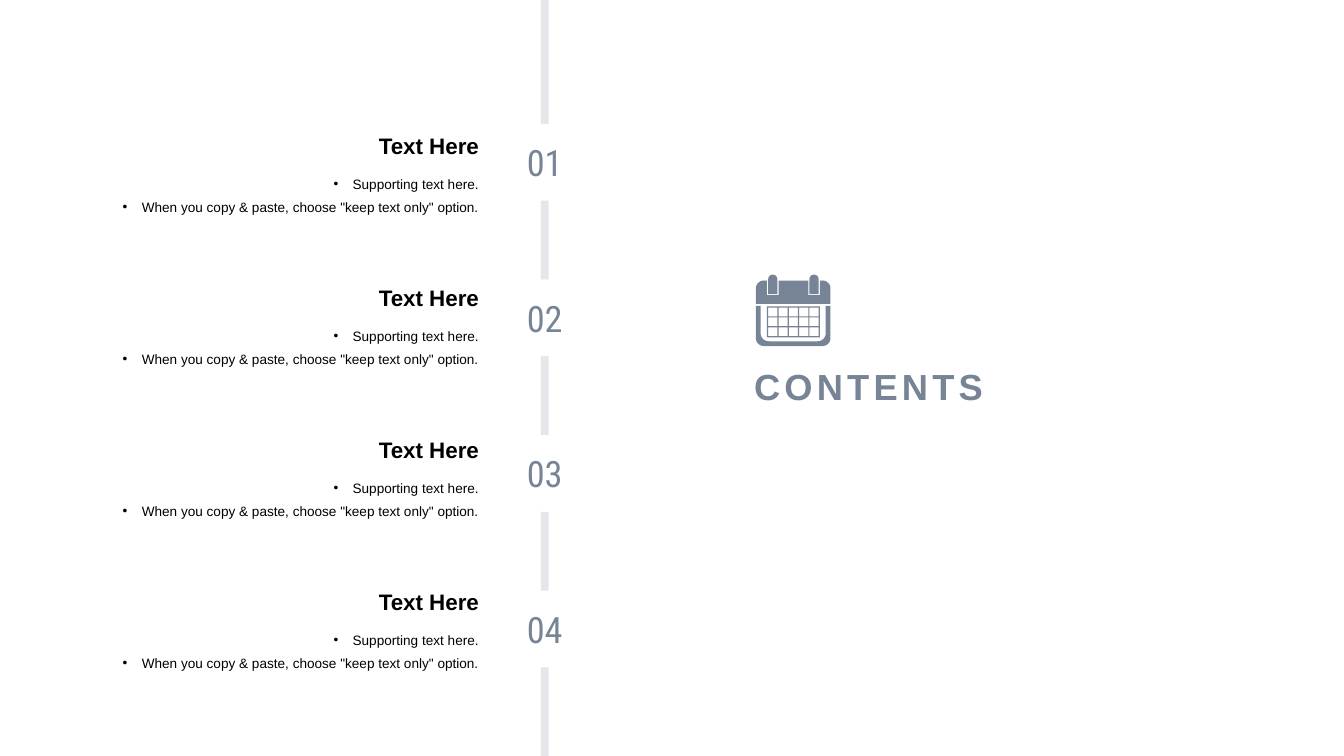
from collections import namedtuple
from dataclasses import dataclass
from math import cos, radians, sin

from lxml.etree import SubElement
from pptx import Presentation
from pptx.dml.color import RGBColor
from pptx.enum.shapes import MSO_SHAPE as Shape
from pptx.enum.text import MSO_ANCHOR as Anchor, MSO_AUTO_SIZE as AutoSize, PP_ALIGN as Align
from pptx.oxml.ns import qn
from pptx.util import Cm, Pt

Box = namedtuple("Box", "left top width height")


@dataclass(frozen=True)
class Theme:
    slate: RGBColor = RGBColor(0x77, 0x84, 0x95)
    rail: RGBColor = RGBColor(0xE4, 0xE6, 0xEA)
    paper: RGBColor = RGBColor(0xFF, 0xFF, 0xFF)
    ink: RGBColor = RGBColor(0, 0, 0)
    text_font: str = "Arial"
    number_font: str = "Roboto Condensed"
    large: float = 25.9
    heading: float = 16
    body: float = 9.7


THEME = Theme()
ENTRY = ("Text Here", ["Supporting text here.",
                       'When you copy & paste, choose "keep text only" option.'])
ENTRIES = [ENTRY] * 4


def style(paragraph, size, color, font=THEME.text_font, bold=False):
    paragraph.font.size = Pt(size)
    paragraph.font.name = font
    paragraph.font.bold = bold
    paragraph.font.color.rgb = color


def paint(shape, fill):
    shape.shadow.inherit = False
    shape.fill.solid()
    shape.fill.fore_color.rgb = fill
    shape.line.fill.background()


def add_bullet(paragraph, indent):
    properties = paragraph._p.get_or_add_pPr()
    properties.set("marL", str(indent))
    properties.set("indent", str(-indent))
    SubElement(properties, qn("a:buFont"), typeface=THEME.text_font)
    SubElement(properties, qn("a:buChar"), char="•")


def add_timeline(slide, box, count, first, pitch):
    rail_width = Cm(0.2)
    rail = slide.shapes.add_shape(Shape.RECTANGLE, box.left + (box.width - rail_width) // 2,
                                  box.top, rail_width, box.height)
    paint(rail, THEME.rail)
    for index in range(count):
        stop = slide.shapes.add_shape(Shape.OVAL, box.left, box.top + first + index * pitch,
                                      box.width, box.width)
        paint(stop, THEME.paper)
        stop.line.color.rgb = THEME.paper
        stop.line.width = Pt(4.5)
        frame = stop.text_frame
        frame.word_wrap = False
        frame.vertical_anchor = Anchor.MIDDLE
        number = frame.paragraphs[0]
        number.text = f"{index + 1:02d}"
        number.alignment = Align.CENTER
        style(number, THEME.large, THEME.slate, THEME.number_font)


def add_entry(slide, box, heading, points):
    heading_height = Cm(1.07)
    frame = slide.shapes.add_textbox(box.left, box.top, box.width, heading_height).text_frame
    frame.word_wrap = True
    frame.vertical_anchor = Anchor.BOTTOM
    title = frame.paragraphs[0]
    title.text = heading
    title.alignment = Align.RIGHT
    style(title, THEME.heading, THEME.ink, bold=True)

    frame = slide.shapes.add_textbox(box.left, box.top + heading_height, box.width,
                                     box.height - heading_height).text_frame
    frame.word_wrap = True
    frame.text = "\n".join(points)
    for point in frame.paragraphs:
        add_bullet(point, Cm(0.48))
        point.alignment = Align.RIGHT
        point.line_spacing = 1.4
        style(point, THEME.body, THEME.ink)


def add_title(slide, box, text):
    title = slide.shapes.title
    title.left, title.top, title.width, title.height = box
    frame = title.text_frame
    frame.auto_size = AutoSize.NONE
    frame.word_wrap = True
    frame.vertical_anchor = Anchor.MIDDLE
    contents = frame.paragraphs[0]
    contents.text = text
    contents.alignment = Align.LEFT
    contents.line_spacing = 1.4
    style(contents, THEME.large, THEME.slate, bold=True)
    contents.runs[0]._r.get_or_add_rPr().set("spc", "300")


def arc(x, y, radius, start, end, steps=8):
    angles = [radians(start + (end - start) * step / steps) for step in range(steps + 1)]
    return [(x + radius * cos(angle), y + radius * sin(angle)) for angle in angles]


def rectangle(x, y, width, height):
    return [(x, y), (x + width, y), (x + width, y + height), (x, y + height)]


def add_calendar(slide, box):
    width, height = box.width.cm, box.height.cm
    corner, wall, line = 0.2, 0.12, 0.03
    ring_width, ring_bottom, ring_lefts = 0.23, 0.49, (0.31, 1.35)
    header_top, header_bottom, body_top = 0.15, 0.74, 0.79
    grid_left, grid_top, columns, rows = 0.28, 0.8, 5, 3
    column_pitch, row_pitch = 0.26, 0.25

    right, low = width - corner, height - corner
    body = ([(0, body_top)] + arc(corner, low, corner, 180, 90)
            + arc(right, low, corner, 90, 0) + [(width, body_top), (width - wall, body_top)]
            + arc(right - wall, low - wall, corner, 0, 90)
            + arc(corner + wall, low - wall, corner, 90, 180) + [(wall, body_top)])
    grid = rectangle(grid_left, grid_top, columns * column_pitch + line, rows * row_pitch + line)
    cells = [rectangle(grid_left + line + column * column_pitch, grid_top + line + row * row_pitch,
                       column_pitch - line, row_pitch - line)
             for row in range(rows) for column in range(columns)]

    header = [(0, header_bottom)] + arc(corner, header_top + corner, corner, 180, 270)
    rings = []
    for left in ring_lefts:
        near, far, notch = left - line, left + ring_width + line, ring_bottom + line
        header += [(near, header_top), (near, notch), (far, notch), (far, header_top)]
        radius = ring_width / 2
        rings.append([(left, ring_bottom)] + arc(left + radius, radius, radius, 180, 360)
                     + [(left + ring_width, ring_bottom)])
    header += arc(right, header_top + corner, corner, 270, 360) + [(width, header_bottom)]

    contours = [[(Cm(x), Cm(y)) for x, y in contour]
                for contour in [body, grid, *cells, header, *rings]]
    builder = slide.shapes.build_freeform(*contours[0][0])
    for contour in contours:
        builder.move_to(*contour[0])
        builder.add_line_segments(contour[1:], close=True)
    paint(builder.convert_to_shape(box.left, box.top), THEME.slate)


def build_contents_slide(deck):
    slide = deck.slides.add_slide(deck.slide_layouts[5])
    add_timeline(slide, Box(Cm(12.84), Cm(0), Cm(1.78), deck.slide_height),
                 len(ENTRIES), Cm(3.2), Cm(3.92))
    for index, (heading, points) in enumerate(ENTRIES):
        add_entry(slide, Box(Cm(1.96), Cm(3.07) + index * Cm(3.83), Cm(10.36), Cm(2.47)),
                  heading, points)
    add_title(slide, Box(Cm(18.75), Cm(8.66), Cm(8.94), Cm(1.68)), "CONTENTS")
    add_calendar(slide, Box(Cm(19.05), Cm(6.92), Cm(1.88), Cm(1.8)))


def main():
    deck = Presentation()
    deck.slide_width, deck.slide_height = Cm(33.87), Cm(19.05)
    build_contents_slide(deck)
    deck.save("out.pptx")


if __name__ == "__main__":
    main()
